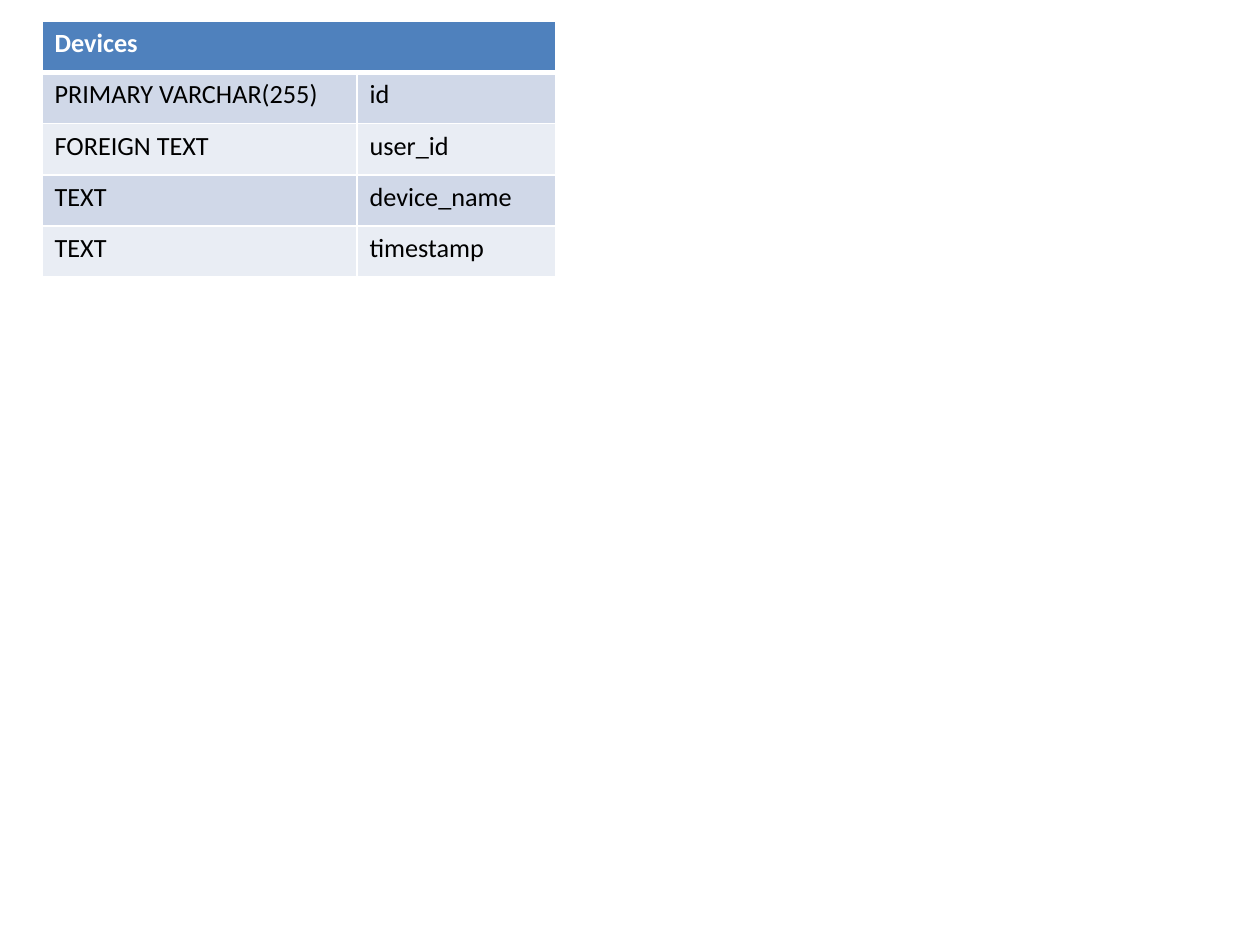
from lxml import etree
from pptx import Presentation
from pptx.dml.color import RGBColor
from pptx.oxml.ns import qn
from pptx.util import Pt

TITLE = "Devices"
FIELDS = [
    ("PRIMARY VARCHAR(255)", "id"),
    ("FOREIGN TEXT", "user_id"),
    ("TEXT", "device_name"),
    ("TEXT", "timestamp"),
]
COLUMN_WIDTHS = (180, 113.8)
ROW_HEIGHT = 29.2
LEFT, TOP = 24, 12.3
HEADER_FILL, BAND_FILLS = "4F81BD", ("D0D8E8", "E9EDF4")
WHITE, BLACK = "FFFFFF", "000000"


def color(value):
    """Return the colour for a hex string."""
    return RGBColor.from_string(value)


def set_borders(cell, widths):
    """Draw white borders of the given widths, ahead of the cell fill."""
    properties = cell._tc.get_or_add_tcPr()
    for index, (side, width) in enumerate(widths.items()):
        line = etree.Element(qn(f"a:ln{side}"), w=str(Pt(width)))
        fill = etree.SubElement(line, qn("a:solidFill"))
        etree.SubElement(fill, qn("a:srgbClr"), val=WHITE)
        properties.insert(index, line)


def format_cell(cell, text, row):
    """Fill one cell and set its text, font and borders."""
    header = row == 0
    cell.fill.solid()
    cell.fill.fore_color.rgb = color(HEADER_FILL if header else BAND_FILLS[(row - 1) % 2])
    cell.text = text
    for span in cell.text_frame.paragraphs[0].runs:
        span.font.name = "Calibri"
        span.font.size = Pt(15)
        span.font.bold = header
        span.font.color.rgb = color(WHITE if header else BLACK)
    set_borders(cell, {"L": 1, "R": 1, "T": 3 if row == 1 else 1, "B": 3 if header else 1})


def main():
    """Build the slide with the device table."""
    deck = Presentation()
    deck.slide_width, deck.slide_height = Pt(720), Pt(540)
    page = deck.slides.add_slide(deck.slide_layouts[6])
    rows = [(TITLE, ""), *FIELDS]
    table = page.shapes.add_table(
        len(rows), len(COLUMN_WIDTHS), Pt(LEFT), Pt(TOP),
        Pt(sum(COLUMN_WIDTHS)), Pt(ROW_HEIGHT * len(rows)),
    ).table
    for column, width in zip(table.columns, COLUMN_WIDTHS):
        column.width = Pt(width)
    for row, texts in enumerate(rows):
        table.rows[row].height = Pt(ROW_HEIGHT)
        for column, text in enumerate(texts):
            format_cell(table.cell(row, column), text, row)
    table.cell(0, 0).merge(table.cell(0, 1))
    deck.save("out.pptx")


if __name__ == "__main__":
    main()
